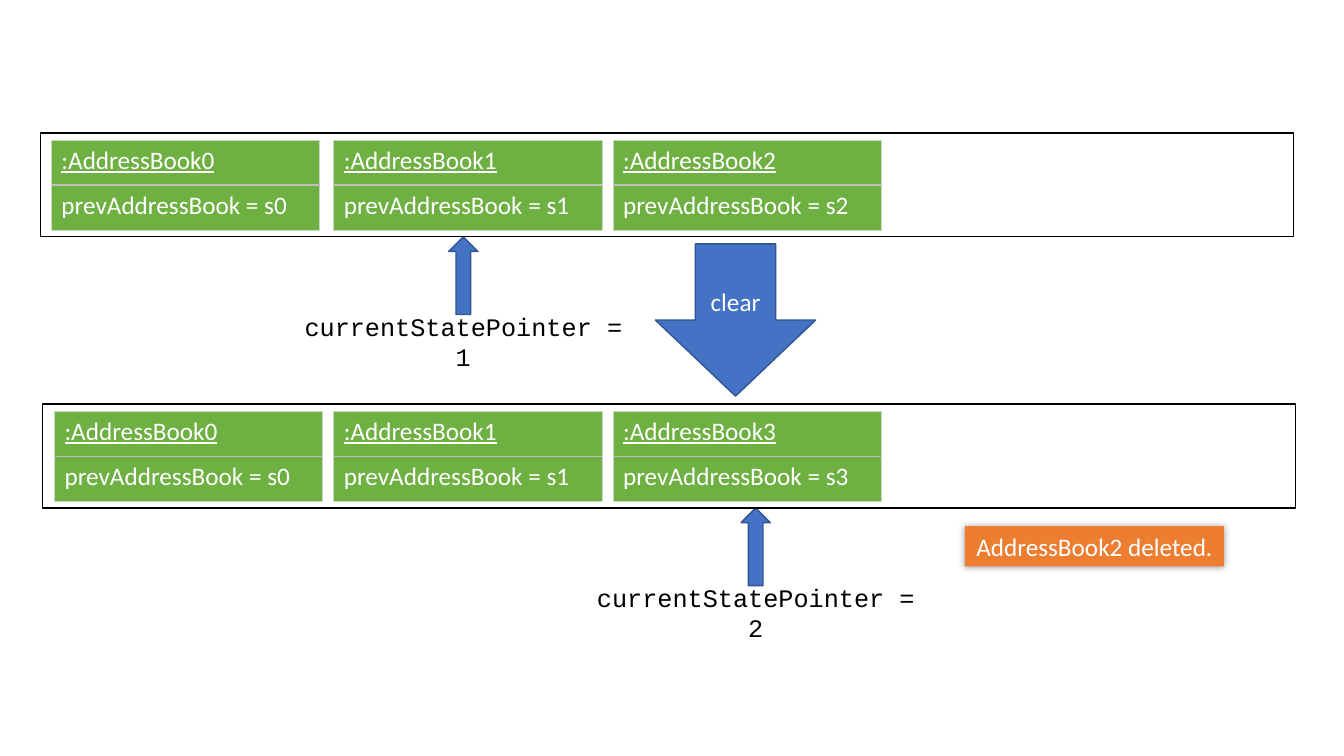
from lxml.etree import SubElement
from pptx import Presentation
from pptx.dml.color import RGBColor
from pptx.enum.shapes import MSO_SHAPE
from pptx.enum.text import MSO_ANCHOR, PP_ALIGN
from pptx.oxml import parse_xml
from pptx.oxml.ns import nsdecls, qn
from pptx.util import Inches, Pt

# Content: each state is a row of address books with a pointer below
STATES = [
    {"left": 0.40, "top": 1.32, "pointer": "currentStatePointer = 1", "pointer_x": 4.595,
     "books": [(0.51, ":AddressBook0", "prevAddressBook = s0"),
               (3.31, ":AddressBook1", "prevAddressBook = s1"),
               (6.08, ":AddressBook2", "prevAddressBook = s2")]},
    {"left": 0.42, "top": 4.01, "pointer": "currentStatePointer = 2", "pointer_x": 7.495,
     "books": [(0.54, ":AddressBook0", "prevAddressBook = s0"),
               (3.31, ":AddressBook1", "prevAddressBook = s1"),
               (6.08, ":AddressBook3", "prevAddressBook = s3")]},
]
COMMAND = ("clear", 6.5, 2.42, 1.59, 1.51)
NOTE = ("AddressBook2 deleted.", 9.57, 5.22, 2.57, 0.4)

# Sizes and colours
STATE_W, STATE_H = 12.43, 1.03
BOOK_W, BOOK_H, BOOK_INSET = 2.66, 0.89, 0.07
ARROW_W, ARROW_H = 0.29, 0.77
LABEL_W, LABEL_H, LABEL_DROP = 3.51, 0.4, 1.72
GREEN, BLUE, BLUE_EDGE, ORANGE = "6FB043", "4472C4", "325491", "ED7D31"
WHITE, BLACK, EDGE, DIVIDER = "FFFFFF", "000000", "C9DBC1", "BFBFBF"

prs = Presentation()
prs.slide_width, prs.slide_height = Inches(13.33), Inches(7.5)
slide = prs.slides.add_slide(prs.slide_layouts[6])


def color(value):
    return RGBColor.from_string(value)


def write(frame, text, font="Calibri", ink=WHITE, align=PP_ALIGN.LEFT, underline=False):
    frame.word_wrap = True
    paragraph = frame.paragraphs[0]
    paragraph.alignment = align
    run = paragraph.add_run()
    run.text = text
    run.font.name, run.font.size = font, Pt(18)
    run.font.color.rgb = color(ink)
    run.font.underline = underline


def add_block(kind, x, y, w, h, fill=None, line=None):
    block = slide.shapes.add_shape(kind, Inches(x), Inches(y), Inches(w), Inches(h))
    block.shadow.inherit = False
    if fill:
        block.fill.solid()
        block.fill.fore_color.rgb = color(fill)
    else:
        block.fill.background()
    if line:
        block.line.color.rgb = color(line)
        block.line.width = Pt(1)
    else:
        block.line.fill.background()
    return block


def set_borders(cell, **sides):
    properties = cell._tc.get_or_add_tcPr()
    for index, side in enumerate("LRTB"):
        ink, width = sides.get(side, (EDGE, 0.5))
        properties.insert(index, parse_xml(
            f'<a:ln{side} {nsdecls("a")} w="{Pt(width)}"><a:solidFill>'
            f'<a:srgbClr val="{ink}"/></a:solidFill></a:ln{side}>'))


def add_book(x, y, title, field):
    book = slide.shapes.add_table(2, 1, Inches(x), Inches(y),
                                  Inches(BOOK_W), Inches(BOOK_H)).table
    for row, (text, inner_side) in enumerate([(title, "B"), (field, "T")]):
        book.rows[row].height = Inches(BOOK_H / 2)
        cell = book.cell(row, 0)
        cell.fill.solid()
        cell.fill.fore_color.rgb = color(GREEN)
        set_borders(cell, **{inner_side: (DIVIDER, 1)})
        write(cell.text_frame, text, underline=row == 0)


# State rows with their pointers
for state in STATES:
    top, center = state["top"], state["pointer_x"]
    label = slide.shapes.add_textbox(Inches(center - LABEL_W / 2), Inches(top + LABEL_DROP),
                                     Inches(LABEL_W), Inches(LABEL_H))
    write(label.text_frame, state["pointer"], font="Courier New", ink=BLACK,
          align=PP_ALIGN.CENTER)
    for x, title, field in state["books"]:
        add_book(x, top + BOOK_INSET, title, field)
    add_block(MSO_SHAPE.UP_ARROW, center - ARROW_W / 2, top + STATE_H, ARROW_W, ARROW_H,
              fill=BLUE, line=BLUE_EDGE)
    add_block(MSO_SHAPE.RECTANGLE, state["left"], top, STATE_W, STATE_H, line=BLACK)

# Command between the states
command_text, *command_box = COMMAND
command = add_block(MSO_SHAPE.DOWN_ARROW, *command_box, fill=BLUE, line=BLUE_EDGE)
command.text_frame.vertical_anchor = MSO_ANCHOR.MIDDLE
write(command.text_frame, command_text, align=PP_ALIGN.CENTER)

# Deletion note with a soft glow-like shadow
note_text, *note_box = NOTE
note = add_block(MSO_SHAPE.RECTANGLE, *note_box, fill=ORANGE)
note.text_frame.vertical_anchor = MSO_ANCHOR.TOP
write(note.text_frame, note_text, align=PP_ALIGN.CENTER)
effects = note._element.spPr.find(qn("a:effectLst"))
shadow = SubElement(effects, qn("a:outerShdw"), blurRad=str(Pt(5)), dist="0", dir="0",
                    algn="ctr", rotWithShape="0")
shadow_ink = SubElement(shadow, qn("a:srgbClr"), val=BLACK)
SubElement(shadow_ink, qn("a:alpha"), val="40000")

prs.save("out.pptx")
